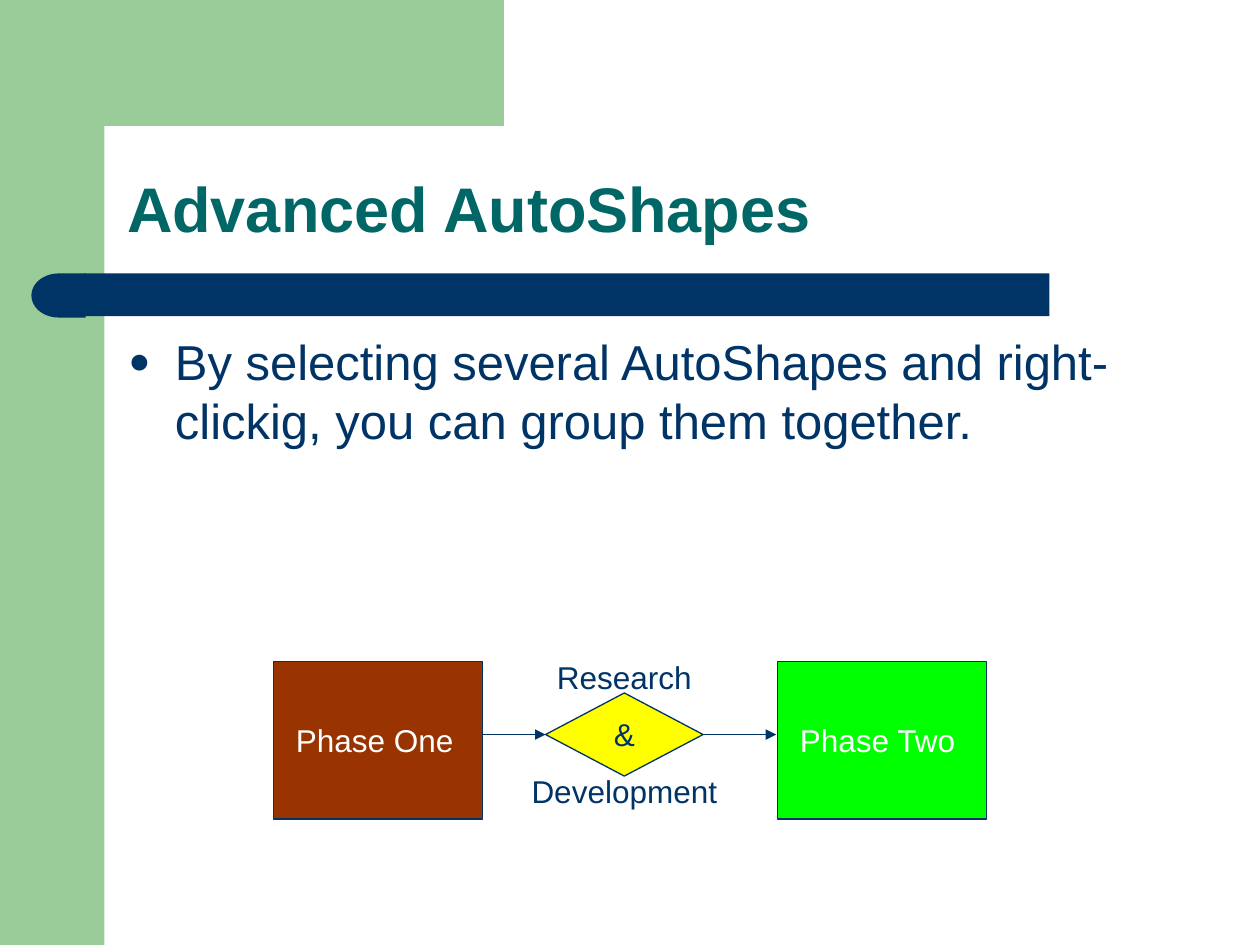
from math import cos, pi, sin
from lxml import etree
from pptx import Presentation
from pptx import util as u
from pptx.dml.color import RGBColor
from pptx.enum import shapes, text
from pptx.oxml import ns

NAVY, GREEN, TEAL, WHITE = "003366", "99CC99", "006666", "FFFFFF"
KIND = shapes.MSO_SHAPE
ALIGN = text.PP_ALIGN


def color(code):
    return RGBColor.from_string(code)


def apply(item, values):
    for name, value in values.items():
        setattr(item, name, value)


def add(parent, tag, **attrs):
    return etree.SubElement(parent, ns.qn(tag), attrs)


class Deck:
    font = "Arial"
    width = u.Pt(0.74)

    def __init__(self, wide, high):
        self.file = Presentation()
        apply(self.file, {"slide_width": u.Inches(wide), "slide_height": u.Inches(high)})
        self.slide = self.file.slides.add_slide(self.file.slide_layouts[6])
        self.layer = self.slide.shapes

    def group(self):
        self.layer = self.slide.shapes.add_group_shape().shapes

    def ungroup(self):
        self.layer = self.slide.shapes

    def paint(self, shape, fill, line):
        shape.shadow.inherit = False
        shape.fill.solid()
        shape.fill.fore_color.rgb = color(fill)
        if line:
            shape.line.color.rgb = color(line)
            shape.line.width = self.width
        else:
            shape.line.fill.background()

    def shape(self, kind, box, fill, line=None):
        item = self.layer.add_shape(kind, *map(u.Inches, box))
        self.paint(item, fill, line)
        return item

    def outline(self, points, fill):
        pen = self.layer.build_freeform(*points[0], scale=u.Inches(1))
        pen.add_line_segments(points[1:], close=True)
        self.paint(pen.convert_to_shape(), fill, None)

    def text(self, box, lines, size, ink, bold=False, anchor="TOP", **para):
        frame = self.layer.add_textbox(*map(u.Inches, box)).text_frame
        apply(frame, {"word_wrap": True, "vertical_anchor": text.MSO_ANCHOR[anchor]})
        frame.text = "\n".join(lines)
        for item in frame.paragraphs:
            apply(item, para)
            for run in item.runs:
                apply(run.font, {"name": self.font, "size": u.Pt(size), "bold": bold})
                run.font.color.rgb = color(ink)
        return frame

    def bullet(self, item, indent, ink):
        props = item._p.get_or_add_pPr()
        props.set("marL", str(u.Inches(indent)))
        props.set("indent", str(-u.Inches(indent)))
        add(add(props, "a:buClr"), "a:srgbClr", val=ink)
        add(props, "a:buSzPct", val="75000")
        add(props, "a:buFont", typeface=self.font)
        add(props, "a:buChar", char="●")

    def arrow(self, left, right, y, ink):
        ends = map(u.Inches, (left, y, right, y))
        item = self.layer.add_connector(shapes.MSO_CONNECTOR.STRAIGHT, *ends)
        item.line.color.rgb = color(ink)
        item.line.width = self.width
        add(item.line._get_or_add_ln(), "a:tailEnd", type="triangle")
        add(item._element.spPr, "a:effectLst")


deck = Deck(10, 7.5)

deck.group()
deck.shape(KIND.RECTANGLE, (0, 0, 0.83, 7.5), GREEN)
turns = [pi / 2 * step / 16 for step in range(17)]
curve = [(1.14 - 0.31 * sin(turn), 1.17 - 0.34 * cos(turn)) for turn in turns]
deck.outline([(0.5, 0), (3.5, 0), (3.5, 0.83), *curve, (0.83, 1.27), (0.5, 1.27)], GREEN)
deck.shape(KIND.RECTANGLE, (0.67, 2.17, 7.66, 0.34), NAVY)
cap = deck.shape(KIND.FLOWCHART_DELAY, (0.25, 2.17, 0.43, 0.35), NAVY)
cap._element.spPr.xfrm.set("flipH", "1")
deck.ungroup()

deck.text((0.91, 0.91, 8.51, 1.09), ["Advanced AutoShapes"], 36, TEAL,
          bold=True, anchor="BOTTOM", line_spacing=0.9)

for left, label, fill in ((2.17, "Phase One", "993300"), (6.17, "Phase Two", "00FF00")):
    deck.group()
    deck.shape(KIND.FLOWCHART_PROCESS, (left, 5.25, 1.66, 1.25), fill, NAVY)
    deck.text((left + 0.08, 5.67, 1.5, 0.4), [label], 18, WHITE, space_before=u.Pt(11.2))

deck.group()
deck.shape(KIND.FLOWCHART_DECISION, (4.33, 5.5, 1.25, 0.66), "FFFF00", NAVY)
for left, right in ((3.83, 4.33), (5.58, 6.16)):
    deck.arrow(left, right, 5.83, NAVY)
deck.text((4.08, 5.17, 1.75, 1.31), ["Research", "&", "Development"], 18, NAVY,
          alignment=ALIGN.CENTER, space_before=u.Pt(11.2))
deck.ungroup()

body = deck.text((0.92, 2.58, 8.41, 4.07),
                 ["By selecting several AutoShapes and right-clickig, "
                  "you can group them together."],
                 28, NAVY, space_before=u.Pt(7))
deck.bullet(body.paragraphs[0], 0.37, NAVY)

deck.file.save("out.pptx")
